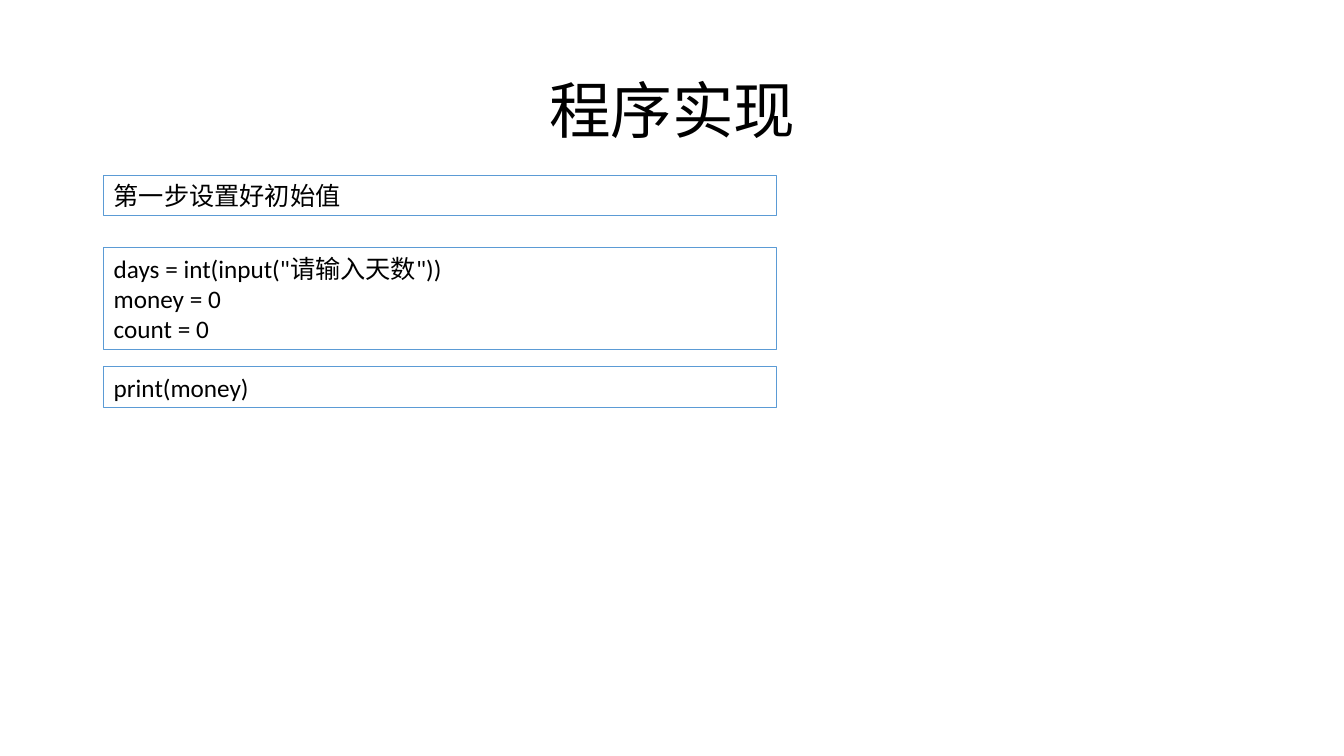
from pptx import Presentation
from pptx import util as u
from pptx.dml.color import RGBColor
from pptx.enum import shapes, text


def color(code):
    return RGBColor.from_string(code)


def write(par, line, size):
    run = par.add_run()
    run.text = line
    run.font.name = "Calibri"
    run.font.size = u.Pt(size)
    run.font.color.rgb = color("000000")


deck = Presentation()
deck.slide_width = u.Inches(13.33)
deck.slide_height = u.Inches(7.5)
slide = deck.slides.add_slide(deck.slide_layouts[6])

# Title
title = slide.shapes.add_textbox(
    u.Inches(0.92), u.Inches(0.4), u.Inches(11.5), u.Inches(1.45))
frame = title.text_frame
frame.word_wrap = True
frame.vertical_anchor = text.MSO_ANCHOR.MIDDLE
par = frame.paragraphs[0]
par.alignment = text.PP_ALIGN.CENTER
par.line_spacing = 0.9
write(par, "程序实现", 44)

# Step and code boxes: top, height, lines
boxes = [
    (1.74, 0.4, ["第一步设置好初始值"]),
    (2.46, 1.01, ['days = int(input("请输入天数"))', "money = 0", "count = 0"]),
    (3.64, 0.4, ["print(money)"]),
]
for top, high, lines in boxes:
    box = slide.shapes.add_shape(
        shapes.MSO_SHAPE.RECTANGLE,
        u.Inches(1.03), u.Inches(top), u.Inches(6.67), u.Inches(high))
    box.shadow.inherit = False
    box.fill.background()
    box.line.color.rgb = color("5B9BD5")
    box.line.width = u.Pt(0.75)
    frame = box.text_frame
    frame.word_wrap = True
    frame.auto_size = text.MSO_AUTO_SIZE.SHAPE_TO_FIT_TEXT
    frame.vertical_anchor = text.MSO_ANCHOR.TOP
    for i, line in enumerate(lines):
        par = frame.add_paragraph() if i else frame.paragraphs[0]
        par.alignment = text.PP_ALIGN.LEFT
        write(par, line, 18)

deck.save("out.pptx")
